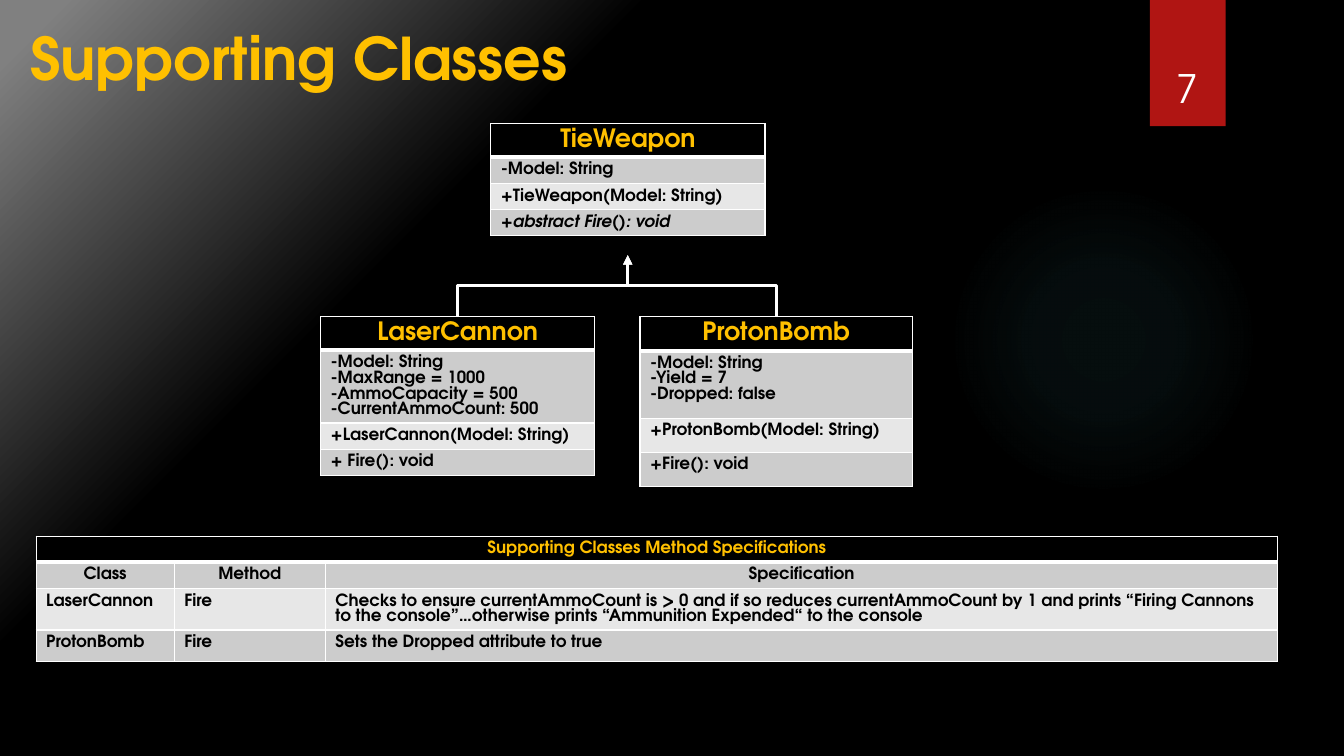
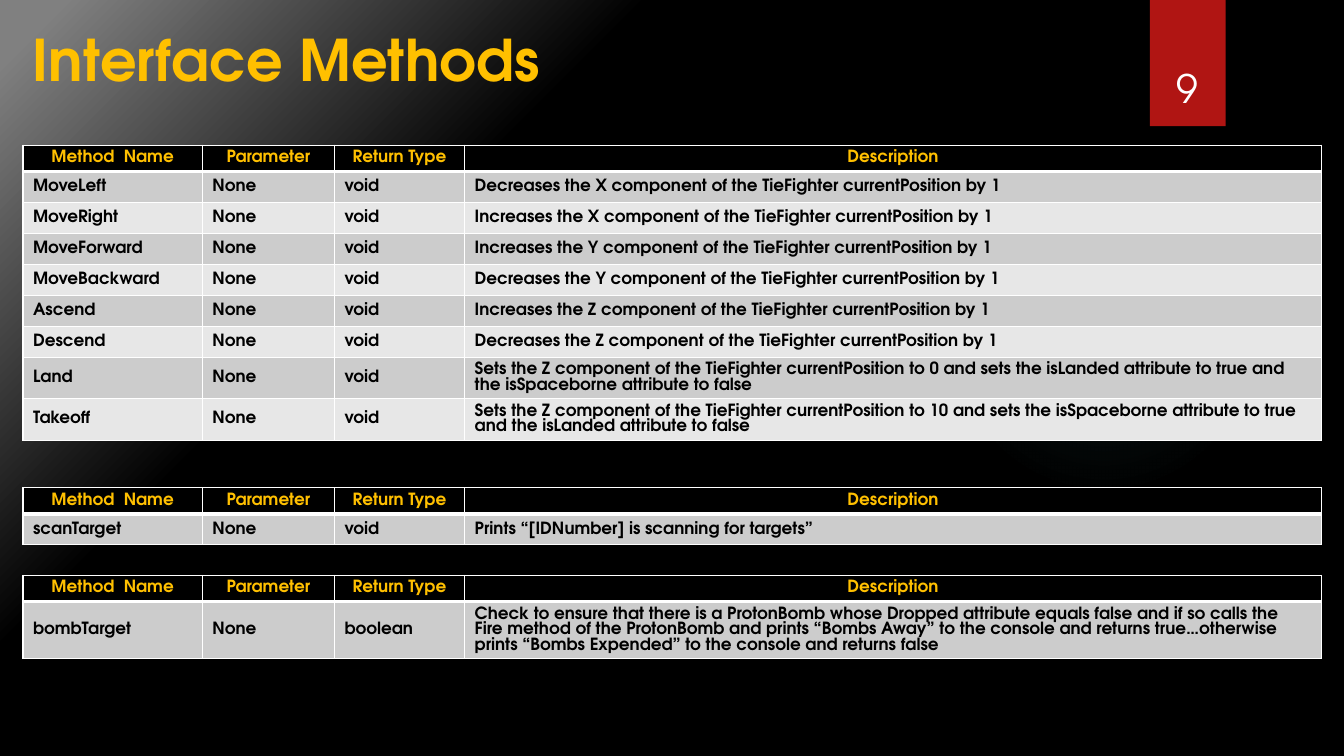
from dataclasses import dataclass

from lxml import etree
from pptx import Presentation
from pptx.dml.color import RGBColor
from pptx.enum.shapes import MSO_CONNECTOR, MSO_SHAPE
from pptx.enum.text import MSO_ANCHOR, PP_ALIGN
from pptx.oxml import parse_xml
from pptx.oxml.ns import nsdecls, qn
from pptx.util import Cm, Pt

ELBOW = MSO_CONNECTOR.ELBOW
OVAL, RECTANGLE = MSO_SHAPE.OVAL, MSO_SHAPE.RECTANGLE
TOP, MIDDLE, BOTTOM = MSO_ANCHOR.TOP, MSO_ANCHOR.MIDDLE, MSO_ANCHOR.BOTTOM
LEFT, CENTER = PP_ALIGN.LEFT, PP_ALIGN.CENTER


@dataclass(frozen=True)
class Theme:
    font: str = "TeX Gyre Adventor"
    black: str = "000000"
    gray: str = "808080"
    white: str = "FFFFFF"
    gold: str = "FFC000"
    red: str = "B01513"
    teal: str = "50B9C1"
    bands: tuple = ("CCCCCC", "E7E7E7")
    number_size: float = 28
    class_size: float = 18
    body_size: float = 12
    table_leading: float = 0.93
    title_leading: float = 1.21
    thin: float = 1
    thick: float = 3
    connector: float = 2.25


THEME = Theme()
ONE_LINE = 0.66
METHOD_HEADER = ("Method  Name", "Parameter", "Return Type", "Description")
METHOD_WIDTHS = (4.52, 3.33, 3.28, 21.59)
METHOD_LEFT = 0.58
MOVES = (
    ("MoveLeft", "Decreases", "X"),
    ("MoveRight", "Increases", "X"),
    ("MoveForward", "Increases", "Y"),
    ("MoveBackward", "Decreases", "Y"),
    ("Ascend", "Increases", "Z"),
    ("Descend", "Decreases", "Z"),
)


def color(value):
    return RGBColor.from_string(value)


def set_radial_fill(element, stops, focus):
    stop_xml = "".join(
        f'<a:gs pos="{position * 1000}"><a:srgbClr val="{value}">'
        f'<a:alpha val="{alpha * 1000}"/></a:srgbClr></a:gs>'
        for position, value, alpha in stops
    )
    left, top, right, bottom = (edge * 1000 for edge in focus)
    gradient = parse_xml(
        f'<a:gradFill {nsdecls("a")} rotWithShape="1"><a:gsLst>{stop_xml}</a:gsLst>'
        f'<a:path path="circle"><a:fillToRect l="{left}" t="{top}" '
        f'r="{right}" b="{bottom}"/></a:path></a:gradFill>'
    )
    solid = element.xpath(".//a:solidFill")[0]
    solid.getparent().replace(solid, gradient)


def format_text(text_frame, size, value, align=LEFT, bold=True, italic=False, leading=None):
    for paragraph in text_frame.paragraphs:
        paragraph.alignment = align
        if leading:
            paragraph.line_spacing = Pt(round(size * leading, 1))
        for run in paragraph.runs:
            run.font.name = THEME.font
            run.font.size = Pt(size)
            run.font.bold = bold
            run.font.italic = italic
            run.font.color.rgb = color(value)


def add_text(slide, box, text, anchor=TOP, **style):
    shape = slide.shapes.add_textbox(*map(Cm, box))
    text_frame = shape.text_frame
    text_frame.word_wrap = True
    text_frame.vertical_anchor = anchor
    text_frame.text = text
    format_text(text_frame, **style)


def add_plain_shape(slide, kind, box, value):
    shape = slide.shapes.add_shape(kind, *map(Cm, box))
    shape.shadow.inherit = False
    shape.fill.solid()
    shape.fill.fore_color.rgb = color(value)
    shape.line.fill.background()
    return shape


def add_base_slide(presentation, number, title, title_box, title_size):
    slide = presentation.slides.add_slide(presentation.slide_layouts[6])
    slide.background.fill.solid()
    slide.background.fill.fore_color.rgb = color(THEME.black)
    backdrop = [(position, THEME.black, 100) for position in (0, 23, 69)]
    set_radial_fill(slide.element, backdrop + [(97, THEME.gray, 100)], (100, 100, 0, 0))
    glow = add_plain_shape(slide, OVAL, (23.9, 4.65, 7.82, 7.82), THEME.teal)
    glow_stops = [(0, THEME.teal, 7), (36, THEME.teal, 6), (69, THEME.teal, 0)]
    set_radial_fill(glow.element, glow_stops, (50, 50, 50, 50))
    add_plain_shape(slide, RECTANGLE, (28.98, 0, 1.91, 3.18), THEME.red)
    add_text(slide, (28.75, 0.81, 2.34, 2.13), str(number), BOTTOM,
             size=THEME.number_size, value=THEME.white, align=CENTER, bold=False)
    add_text(slide, title_box, title, size=title_size, value=THEME.gold,
             leading=THEME.title_leading)
    return slide


def set_borders(cell, top, bottom):
    properties = cell._tc.get_or_add_tcPr()
    widths = {"lnL": THEME.thin, "lnR": THEME.thin, "lnT": top, "lnB": bottom}
    for index, (tag, width) in enumerate(widths.items()):
        properties.insert(index, parse_xml(
            f'<a:{tag} {nsdecls("a")} w="{Pt(width)}"><a:solidFill>'
            f'<a:srgbClr val="{THEME.white}"/></a:solidFill></a:{tag}>'
        ))


def add_grid(slide, left, top, widths, heights, rows, header_size=THEME.body_size,
             anchor=TOP, centered_rows=(0,), italic_rows=()):
    frame = slide.shapes.add_table(len(rows), len(widths), Cm(left), Cm(top),
                                   Cm(sum(widths)), Cm(sum(heights)))
    table = frame.table
    table.first_row = table.horz_banding = False
    for column, width in zip(table.columns, widths):
        column.width = Cm(width)
    for index, (row, height, texts) in enumerate(zip(table.rows, heights, rows)):
        row.height = Cm(height)
        header = index == 0
        for cell, text in zip(row.cells, texts):
            cell.text_frame.text = text
            cell.vertical_anchor = TOP if header else anchor
            format_text(
                cell.text_frame,
                header_size if header else THEME.body_size,
                THEME.gold if header else THEME.black,
                CENTER if index in centered_rows else LEFT,
                italic=index in italic_rows,
                leading=THEME.table_leading,
            )
        for cell in row.cells:
            cell.fill.solid()
            fill = THEME.black if header else THEME.bands[(index - 1) % 2]
            cell.fill.fore_color.rgb = color(fill)
            set_borders(cell, THEME.thick if index == 1 else THEME.thin,
                        THEME.thick if header else THEME.thin)
        if len(texts) < len(widths):
            row.cells[0].merge(row.cells[len(widths) - 1])


def add_class_box(slide, left, top, width, heights, members, italic_rows=()):
    add_grid(slide, left, top, (width,), heights, [(text,) for text in members],
             header_size=THEME.class_size, italic_rows=italic_rows)


def add_inheritance_arrow(slide, begin, end):
    center_x, center_y = (begin[0] + end[0]) / 2, (begin[1] + end[1]) / 2
    turn = 1 if end[0] > begin[0] else -1
    offset_x = turn * (begin[1] - center_y)
    offset_y = turn * (center_x - begin[0])
    connector = slide.shapes.add_connector(
        ELBOW, Cm(center_x + offset_x), Cm(center_y + offset_y),
        Cm(center_x - offset_x), Cm(center_y - offset_y))
    connector.line.color.rgb = color(THEME.white)
    connector.line.width = Pt(THEME.connector)
    properties = connector.element.spPr
    properties.find(qn("a:xfrm")).set("rot", str(turn * 90 % 360 * 60000))
    etree.SubElement(properties.find(qn("a:ln")), qn("a:tailEnd"), type="triangle")
    etree.SubElement(properties, qn("a:effectLst"))


def add_method_table(slide, top, methods, heights):
    add_grid(slide, METHOD_LEFT, top, METHOD_WIDTHS, (ONE_LINE, *heights),
             [METHOD_HEADER, *methods], anchor=MIDDLE)


def build_supporting_classes(presentation):
    slide = add_base_slide(presentation, 7, "Supporting Classes", (0.51, 0.41, 15.11, 2.01), 42)
    add_class_box(slide, 8.08, 7.98, 6.91, (0.84, 1.83, ONE_LINE, ONE_LINE), (
        "LaserCannon",
        "-Model: String\n-MaxRange = 1000\n-AmmoCapacity = 500\n-CurrentAmmoCount: 500",
        "+LaserCannon(Model: String)",
        "+ Fire(): void",
    ))
    add_class_box(slide, 16.13, 7.98, 6.86, (0.86, 1.7, 0.86, 0.86), (
        "ProtonBomb",
        "-Model: String\n-Yield = 7\n-Dropped: false",
        "+ProtonBomb(Model: String)",
        "+Fire(): void",
    ))
    add_grid(slide, 0.91, 13.51, (3.48, 3.81, 24), (ONE_LINE, ONE_LINE, 1.04, 0.79), (
        ("Supporting Classes Method Specifications",),
        ("Class", "Method", "Specification"),
        ("LaserCannon", "Fire",
         "Checks to ensure currentAmmoCount is > 0 and if so reduces currentAmmoCount by 1 "
         "and prints “Firing Cannons to the console”…otherwise prints "
         "“Ammunition Expended“ to the console"),
        ("ProtonBomb", "Fire", "Sets the Dropped attribute to true"),
    ), centered_rows=(0, 1))
    add_class_box(slide, 12.37, 3.12, 6.91, (0.84, ONE_LINE, ONE_LINE, ONE_LINE), (
        "TieWeapon",
        "-Model: String",
        "+TieWeapon(Model: String)",
        "+abstract Fire(): void",
    ), italic_rows=(3,))
    for subclass_center in (11.53, 19.56):
        add_inheritance_arrow(slide, (subclass_center, 7.98), (15.82, 6.43))


def build_interface_methods(presentation):
    slide = add_base_slide(presentation, 9, "Interface Methods", (0.58, 0.48, 14, 2.13), 41)
    position = "component of the TieFighter currentPosition"
    methods = [(name, "None", "void", f"{change} the {axis} {position} by 1")
               for name, change, axis in MOVES]
    methods += [
        ("Land", "None", "void",
         f"Sets the Z {position} to 0 and sets the isLanded attribute to true "
         "and the isSpaceborne attribute to false"),
        ("Takeoff", "None", "void",
         f"Sets the Z {position} to 10 and sets the isSpaceborne attribute to true "
         "and the isLanded attribute to false"),
    ]
    add_method_table(slide, 3.66, methods, [0.78] * len(MOVES) + [1.04] * 2)
    add_method_table(slide, 12.29, [
        ("scanTarget", "None", "void", "Prints “[IDNumber] is scanning for targets”"),
    ], [0.78])
    add_method_table(slide, 14.5, [
        ("bombTarget", "None", "boolean",
         "Check to ensure that there is a ProtonBomb whose Dropped attribute equals false "
         "and if so calls the Fire method of the ProtonBomb and prints “Bombs Away” to the "
         "console and returns true…otherwise prints “Bombs Expended” to the console "
         "and returns false"),
    ], [1.44])


def main():
    presentation = Presentation()
    presentation.slide_width = Cm(33.87)
    presentation.slide_height = Cm(19.05)
    build_supporting_classes(presentation)
    build_interface_methods(presentation)
    presentation.save("out.pptx")


if __name__ == "__main__":
    main()
